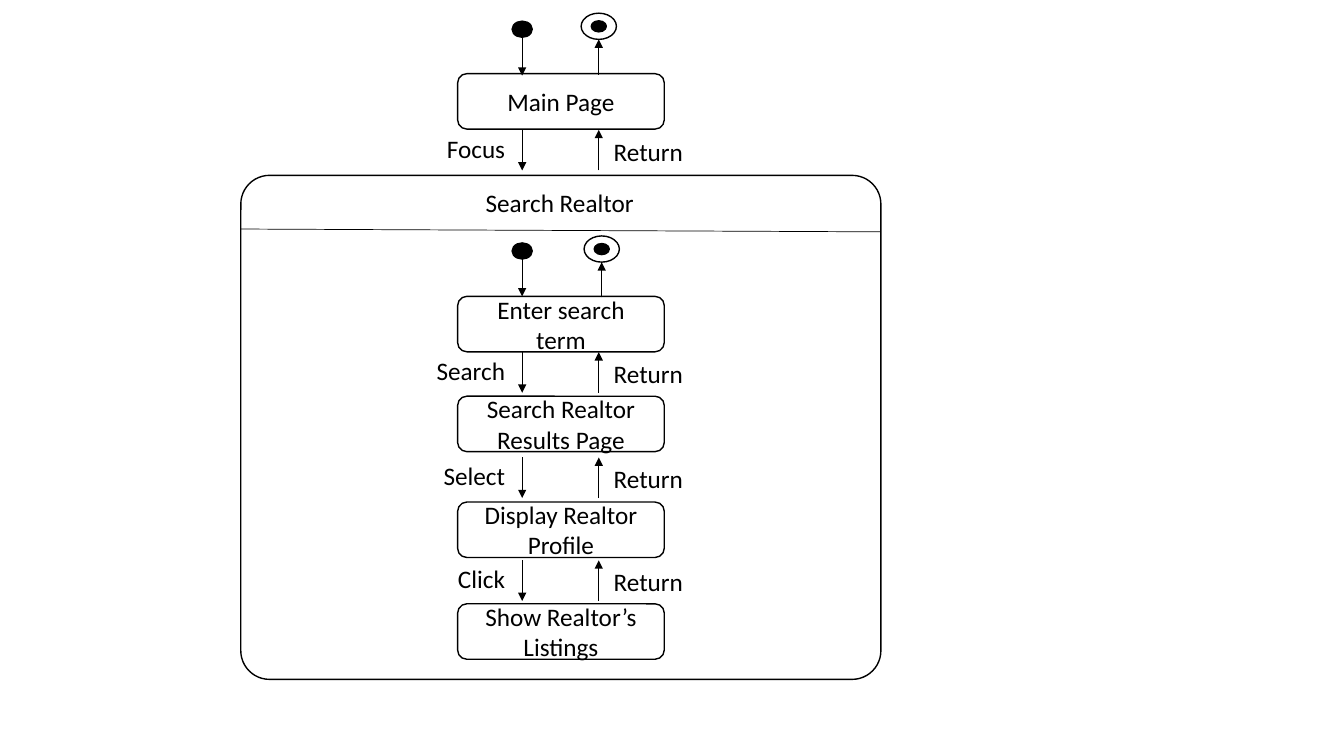
from lxml.etree import SubElement
from pptx import Presentation
from pptx.dml.color import RGBColor
from pptx.enum.shapes import MSO_CONNECTOR, MSO_SHAPE
from pptx.enum.text import MSO_ANCHOR, MSO_AUTO_SIZE, PP_ALIGN
from pptx.oxml.ns import qn
from pptx.util import Pt

COLOURS = {"ink": "000000", "paper": "FFFFFF"}
FONT_FORMAT = {"name": "Calibri", "size": Pt(18)}
STATE_FORMAT = {"word_wrap": True, "vertical_anchor": MSO_ANCHOR.MIDDLE}
LABEL_FORMAT = {"word_wrap": False, "auto_size": MSO_AUTO_SIZE.SHAPE_TO_FIT_TEXT}
STATE_LEFT, STATE_WIDTH, STATE_HEIGHT = 326.9, 147.6, 39.6
DOWN_X, UP_X = 373, 427.7
ARROW_LENGTH = 29
LABEL_HEIGHT, EVENT_RIGHT, RETURN_LEFT = 29, 367.9, 431.3
STATES = [
    ("Main Page", 52.6),
    ("Enter search term", 211.7),
    ("Search Realtor Results Page", 283),
    ("Display Realtor Profile", 358.6),
    ("Show Realtor\u2019s Listings", 431.3),
]
TRANSITIONS = [
    ("Focus", 56.9, 92.8),
    ("Search", 64.1, 251.6),
    ("Select", 59, 326.8),
    ("Click", 48.2, 400.3),
]


def colour(name):
    """Return the named colour."""
    return RGBColor.from_string(COLOURS[name])


def apply_format(target, values):
    """Set every attribute in values on the target."""
    for name, value in values.items():
        setattr(target, name, value)


def write_text(box, text, align, frame_format):
    """Write one paragraph of black text into a box."""
    apply_format(box.text_frame, frame_format)
    para = box.text_frame.paragraphs[0]
    para.alignment = align
    span = para.add_run()
    span.text = text
    apply_format(span.font, FONT_FORMAT)
    span.font.color.rgb = colour("ink")


def add_outline(shapes, kind, left, top, width, height, fill="paper"):
    """Add a filled preset shape with a black outline."""
    shape = shapes.add_shape(kind, Pt(left), Pt(top), Pt(width), Pt(height))
    shape.shadow.inherit = False
    shape.fill.solid()
    shape.fill.fore_color.rgb = colour(fill)
    shape.line.color.rgb = colour("ink")
    shape.line.width = Pt(1)
    return shape


def add_line(shapes, start, end, arrow=True):
    """Add a thin straight line, with an arrowhead at its end if wanted."""
    ends = [Pt(value) for value in (*start, *end)]
    line = shapes.add_connector(MSO_CONNECTOR.STRAIGHT, *ends)
    line.line.color.rgb = colour("ink")
    line.line.width = Pt(0.5)
    if arrow:
        SubElement(line.line._get_or_add_ln(), qn("a:tailEnd"), type="triangle")
    SubElement(line._element.spPr, qn("a:effectLst"))


def add_label(page, text, left, top, width, align=PP_ALIGN.LEFT):
    """Add a text label that does not wrap."""
    box = page.shapes.add_textbox(Pt(left), Pt(top), Pt(width), Pt(LABEL_HEIGHT))
    write_text(box, text, align, LABEL_FORMAT)


def add_state(page, text, top):
    """Add a rounded state box."""
    box = add_outline(page.shapes, MSO_SHAPE.ROUNDED_RECTANGLE,
                      STATE_LEFT, top, STATE_WIDTH, STATE_HEIGHT)
    write_text(box, text, PP_ALIGN.CENTER, STATE_FORMAT)


def add_dot(shapes, x, y, width, height, fill="ink"):
    """Add an ellipse centred on a point."""
    add_outline(shapes, MSO_SHAPE.FLOWCHART_CONNECTOR,
                x - width / 2, y - height / 2, width, height, fill)


def add_initial(page, y, state_top):
    """Add an initial node with its arrow down to a state."""
    shapes = page.shapes.add_group_shape().shapes
    add_dot(shapes, DOWN_X, y, 14.4, 11.5)
    add_line(shapes, (DOWN_X, y + 2), (DOWN_X, state_top))


def add_final(page, x, y, state_top):
    """Add a final node with the arrow up from a state."""
    shapes = page.shapes.add_group_shape().shapes
    add_dot(shapes, x, y, 25.2, 18.7, "paper")
    add_dot(shapes, x, y, 10.8, 7.9)
    add_line(shapes, (x, state_top), (x, y + 9.4))


def add_transition(page, event, width, top):
    """Add an event arrow down and a return arrow up, both labelled."""
    bottom = top + ARROW_LENGTH
    add_line(page.shapes, (DOWN_X, top), (DOWN_X, bottom))
    add_line(page.shapes, (UP_X, bottom), (UP_X, top))
    add_label(page, event, EVENT_RIGHT - width, top - 1.3, width, PP_ALIGN.RIGHT)
    add_label(page, "Return", RETURN_LEFT, top + 0.9, 64.8)


def add_composite(page):
    """Add the composite state frame with its title and divider."""
    frame = add_outline(page.shapes, MSO_SHAPE.ROUNDED_RECTANGLE, 172, 125.3, 457.2, 360)
    frame.adjustments[0] = 0.057
    add_line(page.shapes, (171.5, 163.6), (629.2, 165.6), arrow=False)
    add_label(page, "Search Realtor", 339.8, 130.3, 121.7)


def main():
    """Build the state diagram slide and save it."""
    deck = Presentation()
    apply_format(deck, {"slide_width": Pt(960), "slide_height": Pt(540)})
    page = deck.slides.add_slide(deck.slide_layouts[6])
    add_composite(page)
    for text, top in STATES:
        add_state(page, text, top)
    for event, width, top in TRANSITIONS:
        add_transition(page, event, width, top)
    add_initial(page, 20.9, 54)
    add_final(page, UP_X, 18.8, 53.3)
    add_initial(page, 179.3, 211.7)
    add_final(page, 429.8, 177.9, 212.4)
    deck.save("out.pptx")


main()
